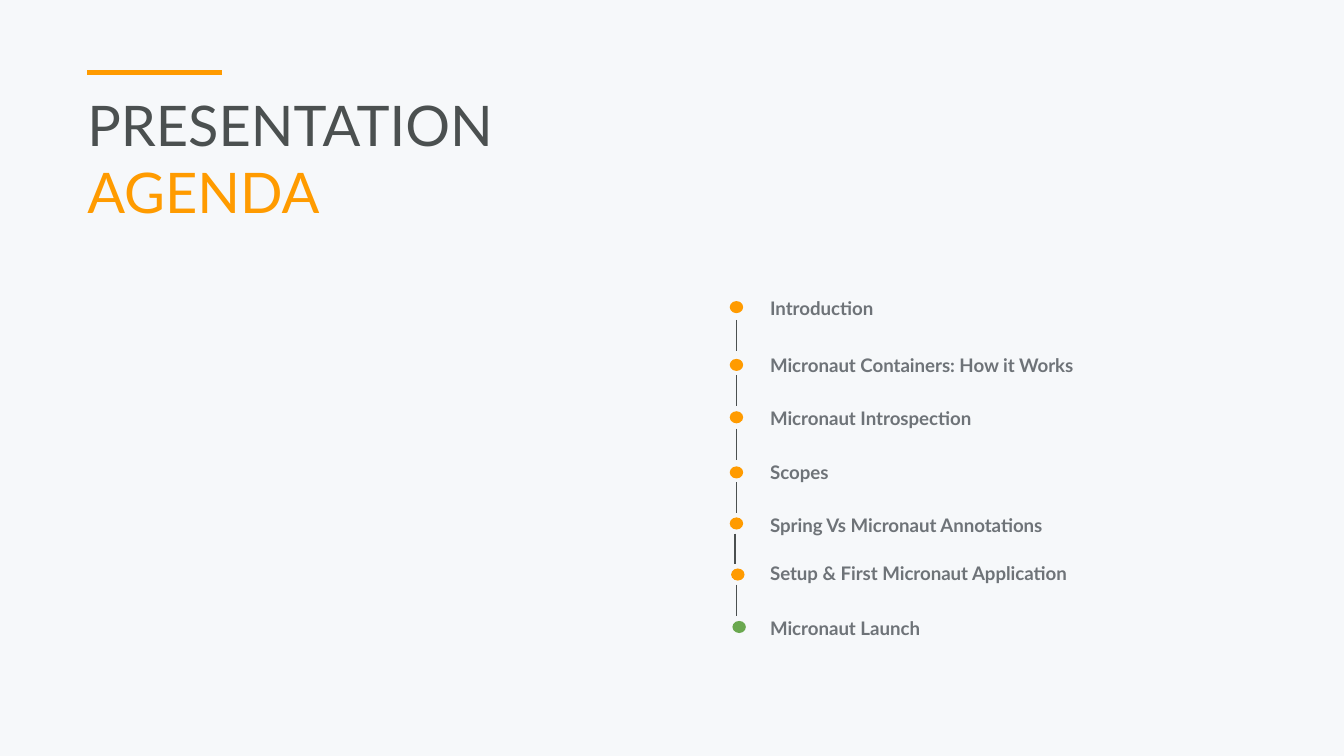
import pptx
import pptx.util
import pptx.dml.color
import pptx.enum.shapes
import pptx.enum.text
import pptx.oxml.ns
from lxml import etree
from pptx.util import Inches

RGBColor = pptx.dml.color.RGBColor
BACKGROUND = RGBColor(0xF6, 0xF8, 0xFA)
ORANGE = RGBColor(0xFF, 0x9B, 0x00)
GREEN = RGBColor(0x6A, 0xA8, 0x4F)
DARK = RGBColor(0x4B, 0x50, 0x50)
GRAY = RGBColor(0x6E, 0x73, 0x78)

# Topic, text top, dot left, dot top, dot colour
AGENDA = [
    ("Introduction", 2.21, 5.43, 2.24, ORANGE),
    ("Micronaut Containers: How it Works", 2.63, 5.43, 2.67, ORANGE),
    ("Micronaut Introspection", 3.03, 5.43, 3.06, ORANGE),
    ("Scopes", 3.43, 5.43, 3.47, ORANGE),
    ("Spring Vs Micronaut Annotations", 3.82, 5.43, 3.85, ORANGE),
    ("Setup & First Micronaut Application", 4.18, 5.44, 4.23, ORANGE),
    ("Micronaut Launch", 4.59, 5.45, 4.62, GREEN),
]
# Left and top of each link between two dots
LINKS = [(5.48, 2.38), (5.48, 2.79), (5.48, 3.19), (5.48, 3.59),
         (5.47, 3.97), (5.48, 4.35)]
LINK_LENGTH = 0.23


class SlideBuilder:
    font = "Lato"

    def __init__(self, prs):
        self.s = prs.slides.add_slide(prs.slide_layouts[6])
        fill = self.s.background.fill
        fill.solid()
        fill.fore_color.rgb = BACKGROUND

    def text(self, x, y, w, h, lines, size, bold=False):
        """Add a text box with one paragraph per (text, colour) pair."""
        sp = self.s.shapes.add_textbox(Inches(x), Inches(y), Inches(w), Inches(h))
        tf = sp.text_frame
        tf.word_wrap = True
        tf.auto_size = pptx.enum.text.MSO_AUTO_SIZE.SHAPE_TO_FIT_TEXT
        tf.margin_left = tf.margin_right = tf.margin_top = tf.margin_bottom = 0
        for i, (text, color) in enumerate(lines):
            p = tf.add_paragraph() if i else tf.paragraphs[0]
            p.line_spacing = 1.0
            r = p.add_run()
            r.text = text
            r.font.name = self.font
            r.font.size = pptx.util.Pt(size)
            r.font.bold = bold
            r.font.color.rgb = color

    def dot(self, x, y, color):
        sp = self.s.shapes.add_shape(
            pptx.enum.shapes.MSO_SHAPE.OVAL,
            Inches(x), Inches(y), Inches(0.1), Inches(0.09))
        sp.shadow.inherit = False
        sp.fill.solid()
        sp.fill.fore_color.rgb = color
        sp.line.fill.background()

    def line(self, x1, y1, x2, y2, color, width):
        cxn = self.s.shapes.add_connector(
            pptx.enum.shapes.MSO_CONNECTOR.STRAIGHT,
            Inches(x1), Inches(y1), Inches(x2), Inches(y2))
        cxn.line.color.rgb = color
        cxn.line.width = pptx.util.Pt(width)
        etree.SubElement(cxn._element.spPr, pptx.oxml.ns.qn("a:effectLst"))


def main():
    prs = pptx.Presentation()
    prs.slide_width = Inches(10)
    prs.slide_height = Inches(10 * 9 / 16)
    slide = SlideBuilder(prs)

    slide.text(0.65, 0.67, 8.7, 1.01,
               [("PRESENTATION", DARK), ("AGENDA", ORANGE)], 30)
    slide.line(0.65, 0.54, 1.65, 0.54, ORANGE, 2.25)

    for topic, text_top, dot_left, dot_top, color in AGENDA:
        slide.text(5.73, text_top, 3.62, 0.17, [(topic, GRAY)], 10, bold=True)
        slide.dot(dot_left, dot_top, color)
    for x, y in LINKS:
        slide.line(x, y, x, y + LINK_LENGTH, DARK, 0.75)

    prs.save("out.pptx")


if __name__ == "__main__":
    main()
